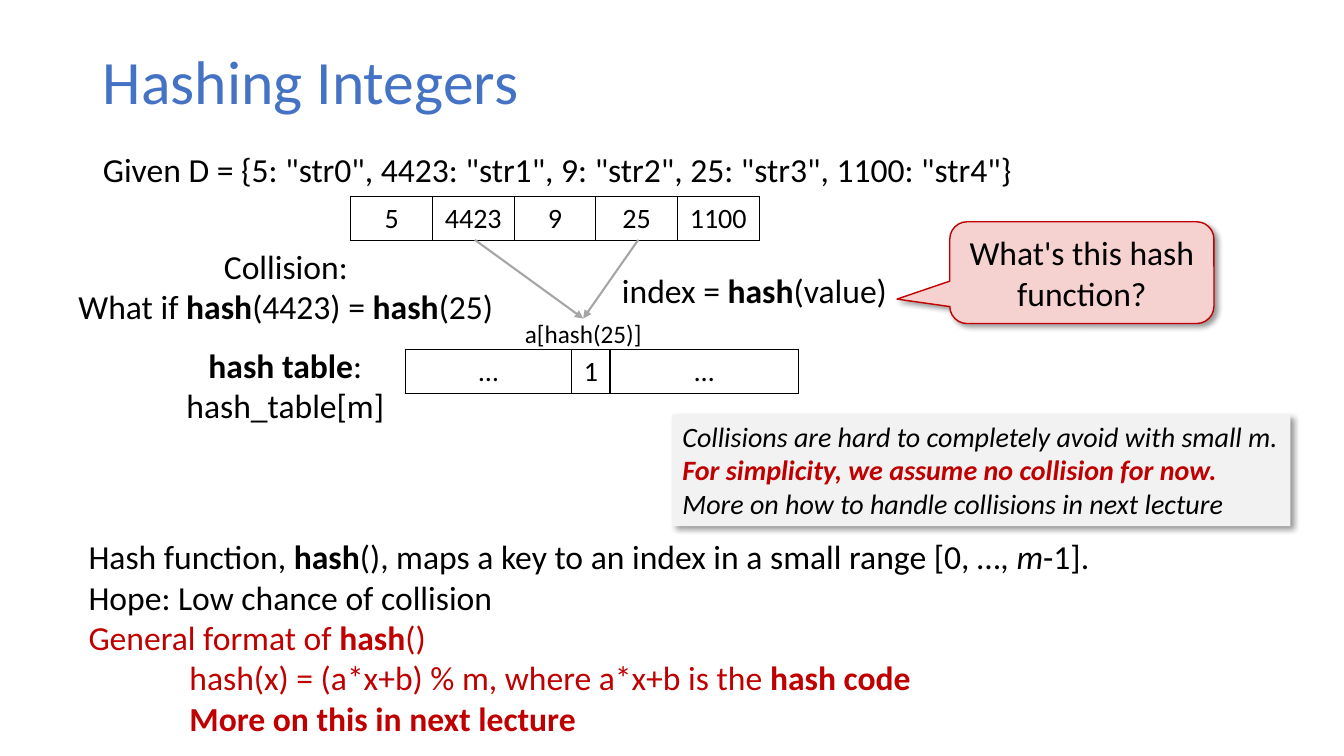
"""Build the Hashing Integers slide."""
from dataclasses import dataclass
from typing import NamedTuple

import lxml.etree
import pptx
import pptx.dml.color
import pptx.enum.dml
import pptx.enum.shapes
import pptx.enum.text
import pptx.oxml.ns
import pptx.util

RGBColor = pptx.dml.color.RGBColor
Align = pptx.enum.text.PP_ALIGN
Anchor = pptx.enum.text.MSO_ANCHOR
Preset = pptx.enum.shapes.MSO_SHAPE
qn = pptx.oxml.ns.qn

BLACK = RGBColor(0x00, 0x00, 0x00)
BLUE = RGBColor(0x44, 0x72, 0xC4)
RED = RGBColor(0xC0, 0x00, 0x00)
PINK = RGBColor(0xF5, 0xD1, 0xCF)
PALE = RGBColor(0xF2, 0xF2, 0xF2)
GREY = RGBColor(0xA6, 0xA6, 0xA6)
FONT = "Calibri"
EMU_PER_PX = 9144


class Run(NamedTuple):
    text: str
    bold: bool = False
    italic: bool = False
    color: RGBColor = BLACK


class Para(NamedTuple):
    runs: list[Run]
    indent: int = 0


class Box(NamedTuple):
    x: int
    y: int
    w: int
    h: int


@dataclass
class Label:
    box: Box
    paras: list[Para]
    align: Align = Align.LEFT
    size: int = 24
    inset: int = 5


@dataclass
class Panel:
    preset: Preset
    box: Box
    fill: RGBColor
    line: RGBColor | None
    paras: list[Para]
    align: Align
    anchor: Anchor
    size: int
    adjustments: tuple[float, ...] = ()


@dataclass
class Row:
    x: int
    y: int
    widths: list[int]
    values: list[str]


def px(n: int) -> pptx.util.Emu:
    return pptx.util.Emu(n * EMU_PER_PX)


def place(box: Box) -> list[pptx.util.Emu]:
    return [px(n) for n in box]


def format_run(r, size: int, run: Run) -> None:
    r.font.name = FONT
    r.font.size = pptx.util.Pt(size)
    r.font.bold = run.bold
    r.font.italic = run.italic
    r.font.color.rgb = run.color


def write(tf, paras: list[Para], size: int, align: Align) -> None:
    for i, para in enumerate(paras):
        p = tf.add_paragraph() if i else tf.paragraphs[0]
        p.alignment = align
        if para.indent:
            p._p.get_or_add_pPr().set("marL", str(px(para.indent)))
        for run in para.runs:
            r = p.add_run()
            r.text = run.text
            format_run(r, size, run)


def fill_placeholder(sp, box: Box, text: str, size: int, color: RGBColor, anchor: Anchor) -> None:
    sp.left, sp.top, sp.width, sp.height = place(box)
    tf = sp.text_frame
    tf.text = text
    tf.auto_size = pptx.enum.text.MSO_AUTO_SIZE.NONE
    tf.vertical_anchor = anchor
    p = tf.paragraphs[0]
    p.alignment = Align.LEFT
    p.line_spacing = 0.9
    p.space_before = pptx.util.Pt(0)
    pPr = p._p.get_or_add_pPr()
    pPr.set("marL", "0")
    pPr.set("indent", "0")
    lxml.etree.SubElement(pPr, qn("a:buNone"))
    format_run(p.runs[0], size, Run(text, color=color))


def add_label(s, label: Label):
    sp = s.shapes.add_textbox(*place(label.box))
    tf = sp.text_frame
    tf.word_wrap = False
    tf.margin_top = tf.margin_bottom = px(label.inset)
    write(tf, label.paras, label.size, label.align)
    return sp


def add_panel(s, panel: Panel) -> None:
    sp = s.shapes.add_shape(panel.preset, *place(panel.box))
    for i, value in enumerate(panel.adjustments):
        sp.adjustments[i] = value
    sp.fill.solid()
    sp.fill.fore_color.rgb = panel.fill
    if panel.line is None:
        sp.line.fill.background()
    else:
        sp.line.color.rgb = panel.line
        sp.line.width = pptx.util.Pt(1)
    sp.shadow.inherit = False
    effects = sp._element.spPr.find(qn("a:effectLst"))
    shadow = lxml.etree.SubElement(effects, qn("a:outerShdw"), blurRad="50800", dist="38100",
                                   dir="2700000", algn="tl", rotWithShape="0")
    color = lxml.etree.SubElement(shadow, qn("a:srgbClr"), val=str(BLACK))
    lxml.etree.SubElement(color, qn("a:alpha"), val="40000")
    tf = sp.text_frame
    tf.word_wrap = True
    tf.vertical_anchor = panel.anchor
    write(tf, panel.paras, panel.size, panel.align)


def add_row(s, row: Row) -> None:
    frame = s.shapes.add_table(1, len(row.values), px(row.x), px(row.y), px(sum(row.widths)), px(41))
    table = frame.table
    table.first_row = table.horz_banding = False
    for i, (width, value) in enumerate(zip(row.widths, row.values)):
        table.columns[i].width = px(width)
        cell = table.cell(0, i)
        cell.fill.background()
        tcPr = cell._tc.get_or_add_tcPr()
        for k, side in enumerate(("lnL", "lnR", "lnT", "lnB")):
            ln = lxml.etree.Element(qn(f"a:{side}"), w="12700")
            solid = lxml.etree.SubElement(ln, qn("a:solidFill"))
            lxml.etree.SubElement(solid, qn("a:srgbClr"), val=str(BLACK))
            tcPr.insert(k, ln)
        write(cell.text_frame, [Para([Run(value)])], 20, Align.CENTER)


def add_arrow(s, x: int, y: int, target) -> None:
    cx = s.shapes.add_connector(pptx.enum.shapes.MSO_CONNECTOR.STRAIGHT, px(x), px(y), px(579), px(316))
    cx.end_connect(target, 0)
    cx.line.color.rgb = GREY
    cx.line.width = pptx.util.Pt(1.5)
    spPr = cx._element.spPr
    lxml.etree.SubElement(spPr.find(qn("a:ln")), qn("a:tailEnd"), type="triangle")
    lxml.etree.SubElement(spPr, qn("a:effectLst"))


HASH = Run("hash", bold=True)
SLOT = Label(Box(510, 316, 137, 30), [Para([Run("a[hash(25)]")])], Align.CENTER, 18, 0)
LABELS = [
    Label(Box(607, 263, 284, 50), [Para([Run("index = "), HASH, Run("(value)")])]),
    Label(Box(66, 239, 435, 91), [
        Para([Run("Collision:")]),
        Para([Run("What if "), HASH, Run("(4423) = "), HASH, Run("(25)")])], Align.CENTER),
    Label(Box(174, 337, 218, 91), [
        Para([Run("hash table", bold=True), Run(":")]),
        Para([Run("hash_table[m]")])], Align.CENTER),
    Label(Box(78, 527, 1029, 212), [
        Para([Run("Hash function, "), HASH, Run("(), maps a key to an index in a small range [0, …, "),
              Run("m", italic=True), Run("-1].")]),
        Para([Run("Hope: Low chance of collision")]),
        Para([Run("General format of ", color=RED), Run("hash", True, color=RED), Run("()", color=RED)]),
        Para([Run("hash(x) = (a*x+b) % m, where a*x+b is the ", color=RED),
              Run("hash code", True, color=RED)], 100),
        Para([Run("More on this in next lecture", True, color=RED)], 100)]),
]
PANELS = [
    Panel(Preset.ROUNDED_RECTANGULAR_CALLOUT, Box(942, 220, 262, 101), PINK, RED,
          [Para([Run("What's this hash function?")])], Align.CENTER, Anchor.MIDDLE, 24, (-0.7, 0.26, 0.17)),
    Panel(Preset.RECTANGLE, Box(667, 411, 613, 111), PALE, None, [
        Para([Run("Collisions are hard to completely avoid with small m.", italic=True)]),
        Para([Run("For simplicity, we assume no collision for now.", True, True, RED)]),
        Para([Run("More on how to handle collisions in next lecture", italic=True)])],
        Align.LEFT, Anchor.TOP, 20),
]
ROWS = [
    Row(348, 195, [81] * 5, ["5", "4423", "9", "25", "1100"]),
    Row(402, 347, [165, 38, 187], ["…", "1", "…"]),
]
GIVEN = 'Given D = {5: "str0", 4423: "str1", 9: "str2", 25: "str3", 1100: "str4"}'


def main() -> None:
    prs = pptx.Presentation()
    prs.slide_width, prs.slide_height = px(1333), px(750)
    s = prs.slides.add_slide(prs.slide_layouts[1])
    fill_placeholder(s.shapes.title, Box(92, 40, 1150, 87), "Hashing Integers", 44, BLUE, Anchor.MIDDLE)
    fill_placeholder(s.placeholders[1], Box(92, 147, 953, 54), GIVEN, 24, BLACK, Anchor.TOP)
    slot = add_label(s, SLOT)
    for label in LABELS:
        add_label(s, label)
    for panel in PANELS:
        add_panel(s, panel)
    for row in ROWS:
        add_row(s, row)
    for x in (471, 633):
        add_arrow(s, x, 238, slot)
    prs.save("out.pptx")


if __name__ == "__main__":
    main()
